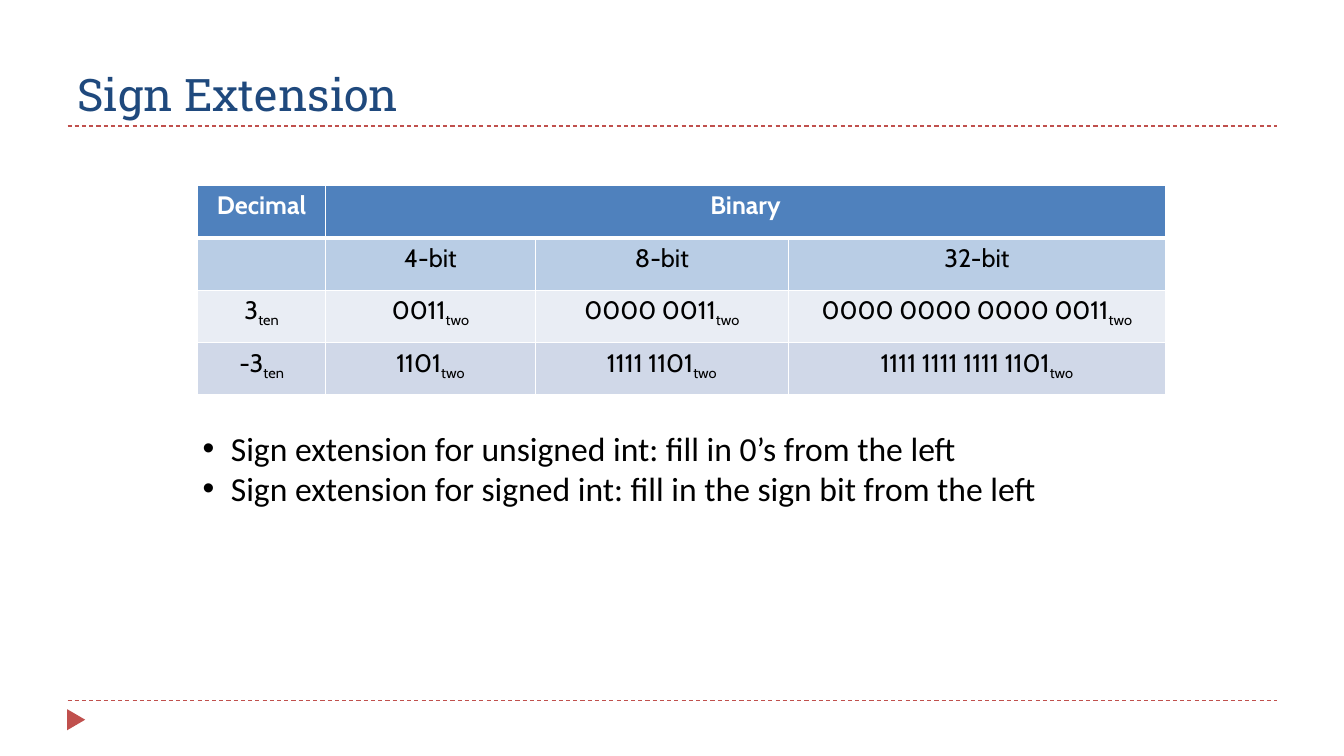
from dataclasses import dataclass

from pptx import Presentation
from pptx.dml.color import RGBColor
from pptx.enum.dml import MSO_LINE
from pptx.enum.shapes import MSO_CONNECTOR, MSO_SHAPE
from pptx.enum.text import MSO_ANCHOR, MSO_AUTO_SIZE, PP_ALIGN
from pptx.oxml import parse_xml
from pptx.oxml.ns import nsdecls
from pptx.util import Pt

DASH = MSO_LINE.DASH
STRAIGHT = MSO_CONNECTOR.STRAIGHT
TRIANGLE = MSO_SHAPE.ISOSCELES_TRIANGLE
TOP, BOTTOM = MSO_ANCHOR.TOP, MSO_ANCHOR.BOTTOM
NO_AUTOFIT = MSO_AUTO_SIZE.NONE
LEFT, CENTER = PP_ALIGN.LEFT, PP_ALIGN.CENTER

EMU_PER_PX = 9144  # 100 px to the inch


@dataclass(frozen=True)
class Theme:
    accent: str = "C0504D"
    title: str = "1F497D"
    text: str = "000000"
    white: str = "FFFFFF"
    header: str = "4F81BD"
    row_fills: tuple = ("4F81BD", "B9CDE5", "E9EDF4", "D0D8E8")
    title_font: str = "Roboto Slab"
    body_font: str = "Calibri"
    table_font: str = "Cabin"
    title_size: int = 32
    body_size: int = 24
    table_size: int = 18


THEME = Theme()

COLUMN_WIDTHS = (127, 208, 251, 374)
ROW_HEIGHT = 52
# Each cell is a (text, subscript) pair
ROWS = (
    (("Decimal", ""), ("Binary", ""), ("", ""), ("", "")),
    (("", ""), ("4-bit", ""), ("8-bit", ""), ("32-bit", "")),
    (("3", "ten"), ("0011", "two"), ("0000 0011", "two"),
     ("0000 0000 0000 0011", "two")),
    (("-3", "ten"), ("1101", "two"), ("1111 1101", "two"),
     ("1111 1111 1111 1101", "two")),
)
BULLETS = (
    "Sign extension for unsigned int: fill in 0’s from the left",
    "Sign extension for signed int: fill in the sign bit from the left",
)


def px(value):
    return value * EMU_PER_PX


def place(shape, left, top, width, height):
    shape.left, shape.top = px(left), px(top)
    shape.width, shape.height = px(width), px(height)


def add_run(paragraph, text, font, size, color, bold=False):
    run = paragraph.add_run()
    run.text = text
    run.font.name = font
    run.font.size = Pt(size)
    run.font.bold = bold
    run.font.color.rgb = RGBColor.from_string(color)
    return run


def add_dashed_rule(slide, y):
    rule = slide.shapes.add_connector(STRAIGHT, px(67), px(y), px(1267), px(y))
    rule.line.color.rgb = RGBColor.from_string(THEME.accent)
    rule.line.width = Pt(0.75)
    rule.line.dash_style = DASH
    rule._element.spPr.append(parse_xml(f"<a:effectLst {nsdecls('a')}/>"))


def add_corner_marker(slide):
    marker = slide.shapes.add_shape(TRIANGLE, px(65), px(705), px(21), px(18))
    marker.rotation = 90
    marker.shadow.inherit = False
    marker.fill.solid()
    marker.fill.fore_color.rgb = RGBColor.from_string(THEME.accent)
    marker.line.fill.background()


def fill_title(title, text):
    place(title, 67, 17, 1200, 108)
    frame = title.text_frame
    frame.auto_size = NO_AUTOFIT
    frame.vertical_anchor = BOTTOM
    paragraph = frame.paragraphs[0]
    paragraph.alignment = LEFT
    add_run(paragraph, text, THEME.title_font, THEME.title_size, THEME.title)


def fill_bullets(body, bullets):
    place(body, 191, 419, 960, 91)
    frame = body.text_frame
    frame.auto_size = NO_AUTOFIT
    frame.vertical_anchor = TOP
    for index, text in enumerate(bullets):
        paragraph = frame.add_paragraph() if index else frame.paragraphs[0]
        paragraph.alignment = LEFT
        paragraph.space_before = Pt(0)
        properties = paragraph._p.get_or_add_pPr()
        properties.set("marL", str(px(28)))
        properties.set("indent", str(px(-28)))
        properties.append(parse_xml(f'<a:buFont {nsdecls("a")} typeface="Arial"/>'))
        properties.append(parse_xml(f'<a:buChar {nsdecls("a")} char="•"/>'))
        add_run(paragraph, text, THEME.body_font, THEME.body_size, THEME.text)


def set_borders(cell, bottom_width):
    properties = cell._tc.get_or_add_tcPr()
    widths = {"lnL": 1, "lnR": 1, "lnT": 1, "lnB": bottom_width}
    for side, width in widths.items():
        properties.append(parse_xml(
            f'<a:{side} {nsdecls("a")} w="{Pt(width)}"><a:solidFill>'
            f'<a:srgbClr val="{THEME.white}"/></a:solidFill></a:{side}>'))


def fill_cell(cell, text, subscript, fill, is_header):
    cell.margin_left = cell.margin_right = px(13)
    cell.margin_top = cell.margin_bottom = px(5)
    cell.vertical_anchor = TOP
    set_borders(cell, 3 if is_header else 1)
    cell.fill.solid()
    cell.fill.fore_color.rgb = RGBColor.from_string(fill)
    paragraph = cell.text_frame.paragraphs[0]
    paragraph.alignment = CENTER
    color = THEME.white if is_header else THEME.text
    style = (THEME.table_font, THEME.table_size, color, is_header)
    if text:
        add_run(paragraph, text, *style)
    if subscript:
        run = add_run(paragraph, subscript, *style)
        run._r.get_or_add_rPr().set("baseline", "-25000")


def add_number_table(slide):
    frame = slide.shapes.add_table(
        len(ROWS), len(COLUMN_WIDTHS), px(196), px(184),
        px(sum(COLUMN_WIDTHS)), px(ROW_HEIGHT * len(ROWS)))
    table = frame.table
    for column, width in zip(table.columns, COLUMN_WIDTHS):
        column.width = px(width)
    for row_index, (row, fill) in enumerate(zip(ROWS, THEME.row_fills)):
        table.rows[row_index].height = px(ROW_HEIGHT)
        for column_index, (text, subscript) in enumerate(row):
            cell = table.cell(row_index, column_index)
            fill_cell(cell, text, subscript, fill, row_index == 0)
    table.cell(0, 1).merge(table.cell(0, 3))


def main():
    presentation = Presentation()
    presentation.slide_width, presentation.slide_height = px(1333), px(750)
    slide = presentation.slides.add_slide(presentation.slide_layouts[1])

    # Frame of the page
    add_dashed_rule(slide, 695)
    add_dashed_rule(slide, 125)
    add_corner_marker(slide)

    # Content
    fill_title(slide.shapes.title, "Sign Extension")
    fill_bullets(slide.placeholders[1], BULLETS)
    add_number_table(slide)

    presentation.save("out.pptx")


if __name__ == "__main__":
    main()
